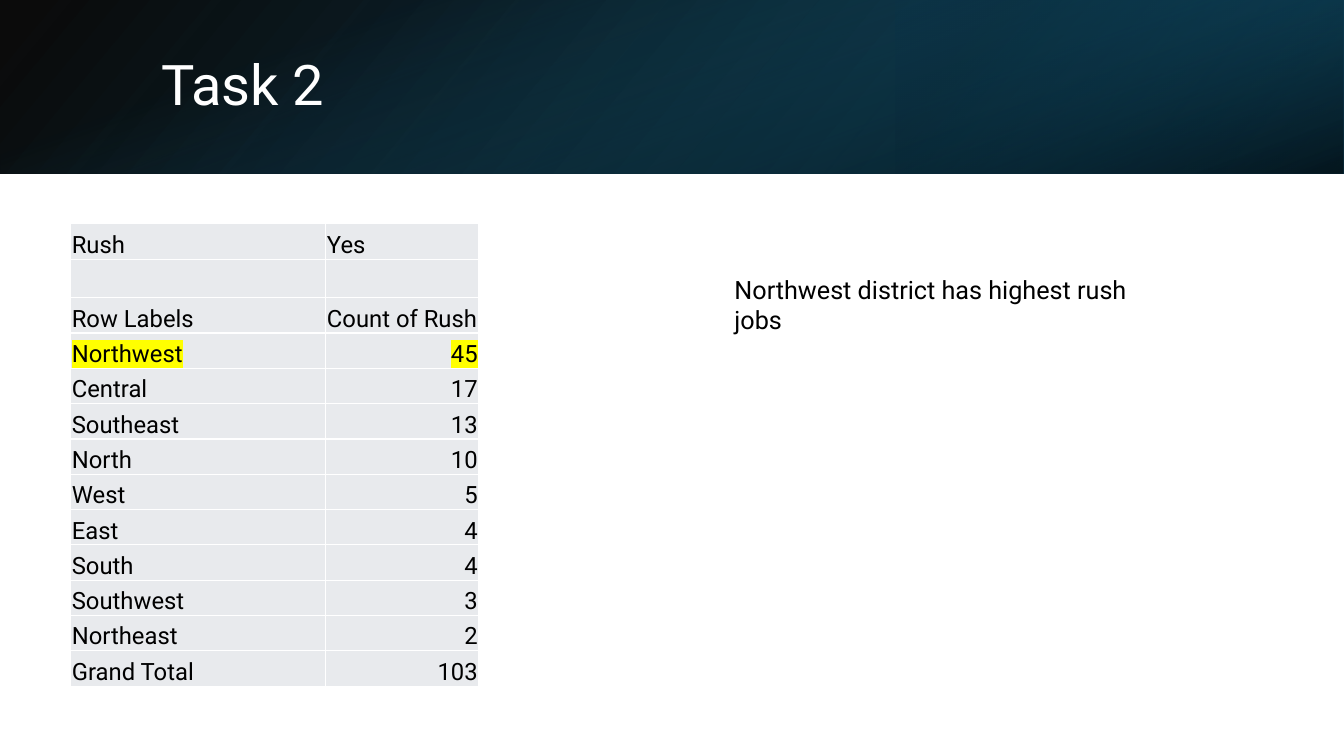
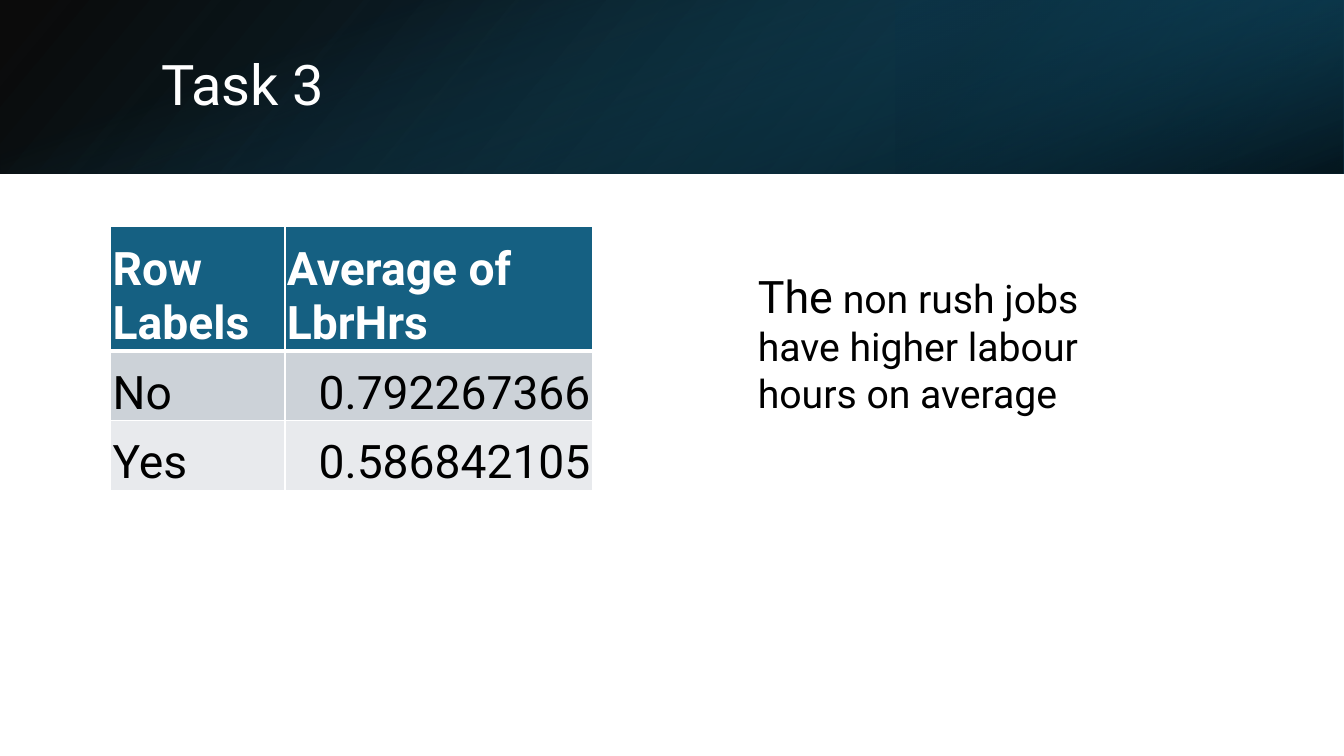
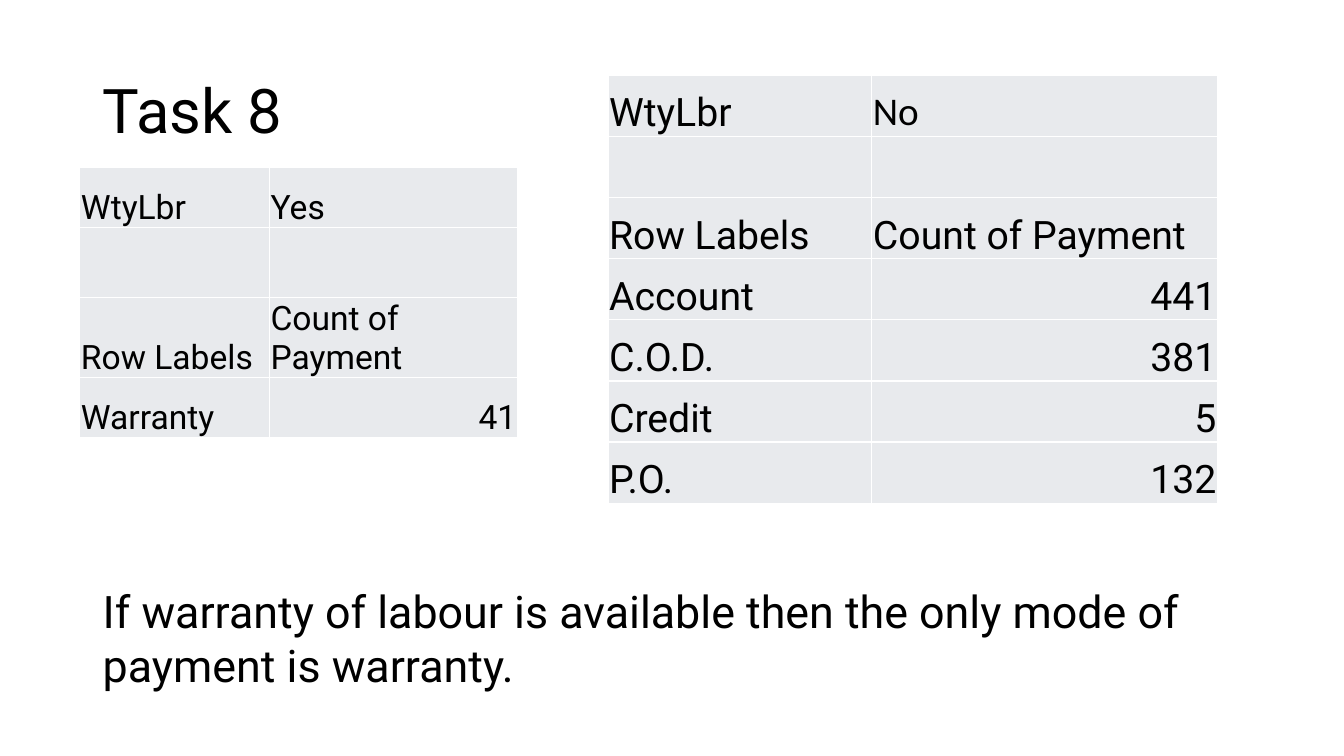
from lxml import etree
from pptx import Presentation
from pptx.dml.color import RGBColor
from pptx.enum.shapes import MSO_SHAPE as Preset
from pptx.enum.text import MSO_ANCHOR as Anchor, MSO_AUTO_SIZE as AutoSize, PP_ALIGN as Align
from pptx.oxml import parse_xml
from pptx.oxml.ns import nsdecls, qn
from pptx.util import Cm, Pt

# Shared look
FONT = "Roboto"
BLACK, WHITE, YELLOW = "000000", "FFFFFF", "FFFF00"
TEAL, DEEP_TEAL, NAVY = "156082", "104862", "0B3041"
PALE, GREY = "E8EAED", "CCD2D8"
SLIDE_W, SLIDE_H, BAND_H = 33.87, 19.05, 4.37
BAND_TITLE = (3.81, 0.97, 27.89, 2.44)

# Band layers: place, rotation, mirrored, angle, stops (position, colour, opacity)
BAND_LAYERS = [
    ((0, 0, SLIDE_W, BAND_H), 0, True, 140,
     [(0, BLACK, 96), (100, DEEP_TEAL, 100)]),
    ((22.58, 0, 11.29, BAND_H), 180, True, 320,
     [(19, NAVY, 68), (100, TEAL, 79)]),
    (((SLIDE_W - BAND_H) / 2, (BAND_H - SLIDE_W) / 2, BAND_H, SLIDE_W), 90, False, 340,
     [(23, TEAL, 0), (99, BLACK, 74)]),
]


def rgb(color):
    return RGBColor.from_string(color)


def lengths(place):
    return [Cm(value) for value in place]


# Text
def add_span(para, text, size, color=BLACK, bold=False, font=FONT, highlight=None):
    span = para.add_run()
    span.text = text
    span.font.size = Pt(size)
    span.font.bold = bold
    span.font.name = font
    span.font.color.rgb = rgb(color)
    if highlight:
        mark = parse_xml(f'<a:highlight {nsdecls("a")}><a:srgbClr val="{highlight}"/></a:highlight>')
        span.font.fill  # the colour precedes the highlight in the run properties
        span._r.get_or_add_rPr().find(qn("a:solidFill")).addnext(mark)


def add_title(slide, text, place, size, color):
    title = slide.shapes.title
    title.left, title.top, title.width, title.height = lengths(place)
    frame = title.text_frame
    frame.auto_size = AutoSize.NONE
    frame.vertical_anchor = Anchor.MIDDLE
    para = frame.paragraphs[0]
    para.alignment = Align.LEFT
    para.line_spacing = 0.9
    add_span(para, text, size, color)
    title.element.getparent().append(title.element)


def add_note(slide, place, *spans):
    box = slide.shapes.add_textbox(*lengths(place))
    box.text_frame.word_wrap = True
    for text, size in spans:
        add_span(box.text_frame.paragraphs[0], text, size)


# Gradient band
def add_layer(slide, place, rotation, mirrored, angle, stops):
    layer = slide.shapes.add_shape(Preset.RECTANGLE, *lengths(place))
    layer.shadow.inherit = False
    layer.rotation = rotation
    layer.line.fill.background()
    properties = layer.element.spPr
    if mirrored:
        properties.find(qn("a:xfrm")).set("flipH", "1")
    stop_xml = "".join(
        f'<a:gs pos="{position * 1000}"><a:srgbClr val="{color}">'
        f'<a:alpha val="{opacity * 1000}"/></a:srgbClr></a:gs>'
        for position, color, opacity in stops)
    properties.find(qn("a:prstGeom")).addnext(parse_xml(
        f'<a:gradFill {nsdecls("a")} rotWithShape="1"><a:gsLst>{stop_xml}</a:gsLst>'
        f'<a:lin ang="{angle * 60000}" scaled="0"/></a:gradFill>'))


def add_band_slide(deck, title):
    slide = deck.slides.add_slide(deck.slide_layouts[5])
    for layer in BAND_LAYERS:
        add_layer(slide, *layer)
    add_title(slide, title, BAND_TITLE, 40, WHITE)
    return slide


# Tables
def set_borders(cell, heavy_edge):
    properties = cell._tc.get_or_add_tcPr()
    for index, edge in enumerate(("lnL", "lnR", "lnT", "lnB")):
        width = Pt(3 if edge == heavy_edge else 1)
        line = etree.Element(qn(f"a:{edge}"), w=str(int(width)))
        fill = etree.SubElement(line, qn("a:solidFill"))
        etree.SubElement(fill, qn("a:srgbClr"), val=WHITE)
        properties.insert(index, line)


def add_grid(slide, corner, widths, heights, rows, size, inset=0.03,
             header=False, marked_row=None, fonts=None):
    place = (*corner, sum(widths), sum(heights))
    table = slide.shapes.add_table(len(rows), len(widths), *lengths(place)).table
    table.first_row = table.horz_banding = False
    for column, width in zip(table.columns, widths):
        column.width = Cm(width)
    for row, height in zip(table.rows, heights):
        row.height = Cm(height)

    for r, texts in enumerate(rows):
        is_header = header and r == 0
        fill = TEAL if is_header else GREY if header and r % 2 else PALE
        heavy_edge = {0: "lnB", 1: "lnT"}.get(r) if header else None
        for c, text in enumerate(texts):
            cell = table.cell(r, c)
            cell.fill.solid()
            cell.fill.fore_color.rgb = rgb(fill)
            cell.vertical_anchor = Anchor.BOTTOM
            cell.margin_left = cell.margin_right = cell.margin_top = Cm(inset)
            cell.margin_bottom = 0
            set_borders(cell, heavy_edge)
            if not text:
                continue
            para = cell.text_frame.paragraphs[0]
            is_number = text.replace(".", "").isdigit()
            para.alignment = Align.RIGHT if is_number else Align.LEFT
            add_span(para, text, size, WHITE if is_header else BLACK, is_header,
                     (fonts or {}).get((r, c), FONT),
                     YELLOW if r == marked_row else None)


# Slides
def add_rush_slide(deck):
    slide = add_band_slide(deck, "Task 2")
    rows = [("Rush", "Yes"), ("", ""), ("Row Labels", "Count of Rush"),
            ("Northwest", "45"), ("Central", "17"), ("Southeast", "13"),
            ("North", "10"), ("West", "5"), ("East", "4"), ("South", "4"),
            ("Southwest", "3"), ("Northeast", "2"), ("Grand Total", "103")]
    heights = [0.97 if not label else 0.89 for label, _ in rows]
    add_grid(slide, (1.78, 5.64), (6.43, 3.86), heights, rows, 17, marked_row=3)
    add_note(slide, (18.26, 6.78, 11.43, 1.02),
             ("Northwest district has highest rush jobs", 18))


def add_hours_slide(deck):
    slide = add_band_slide(deck, "Task 3")
    rows = [("Row Labels", "Average of LbrHrs"), ("No", "0.792267366"), ("Yes", "0.586842105")]
    add_grid(slide, (2.79, 5.7), (4.39, 7.75), (3.15, 1.75, 1.75), rows, 33,
             inset=0.05, header=True)
    add_note(slide, (18.85, 6.65, 10.26, 4.01),
             ("The", 32), (" non rush jobs have higher labour hours on average", 28))


def add_warranty_slide(deck):
    slide = deck.slides.add_slide(deck.slide_layouts[5])
    add_title(slide, "Task 8", (2.34, 1.02, 29.21, 3.68), 44, BLACK)
    headings = [("", ""), ("Row Labels", "Count of Payment")]
    unpaid = [("WtyLbr", "No"), *headings, ("Account", "441"), ("C.O.D.", "381"),
              ("Credit", "5"), ("P.O.", "132")]
    add_grid(slide, (15.32, 1.9), (6.65, 8.71), [1.54] * len(unpaid), unpaid, 28,
             fonts={(0, 1): "Calibri"})
    covered = [("WtyLbr", "Yes"), *headings, ("Warranty", "41")]
    add_grid(slide, (2.01, 4.22), (4.78, 6.25), (1.52, 1.75, 2.03, 1.52), covered, 24)
    add_note(slide, (2.34, 14.58, 28.75, 3),
             ("If warranty of labour is available then the only mode of payment is warranty.", 32))


def main():
    deck = Presentation()
    deck.slide_width, deck.slide_height = Cm(SLIDE_W), Cm(SLIDE_H)
    add_rush_slide(deck)
    add_hours_slide(deck)
    add_warranty_slide(deck)
    deck.save("out.pptx")


if __name__ == "__main__":
    main()
